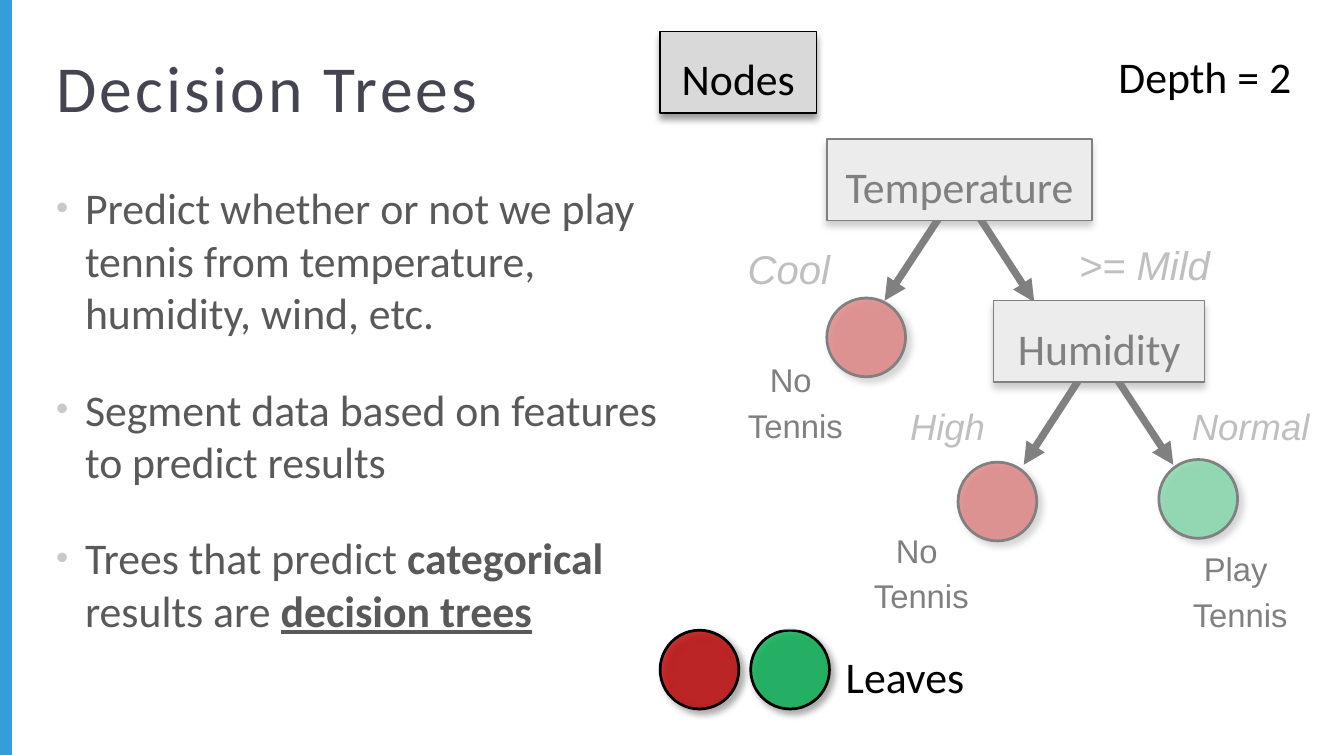
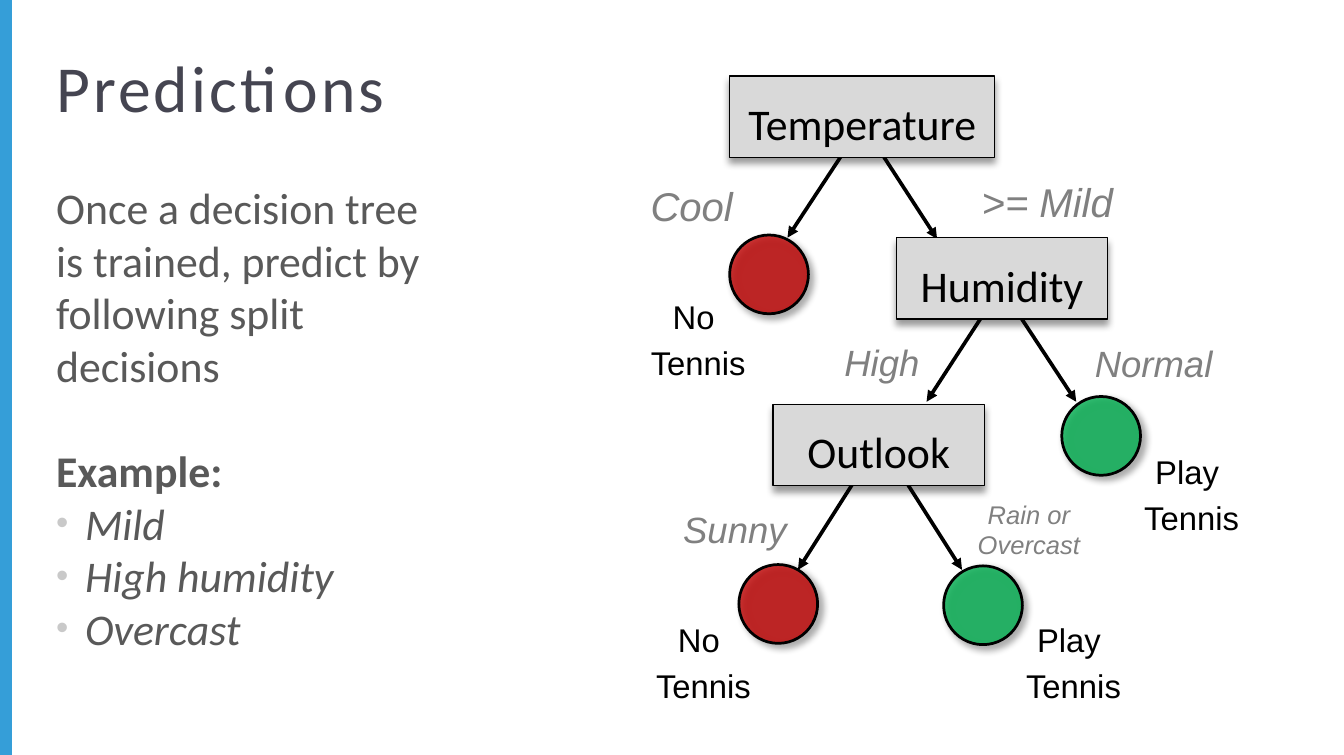
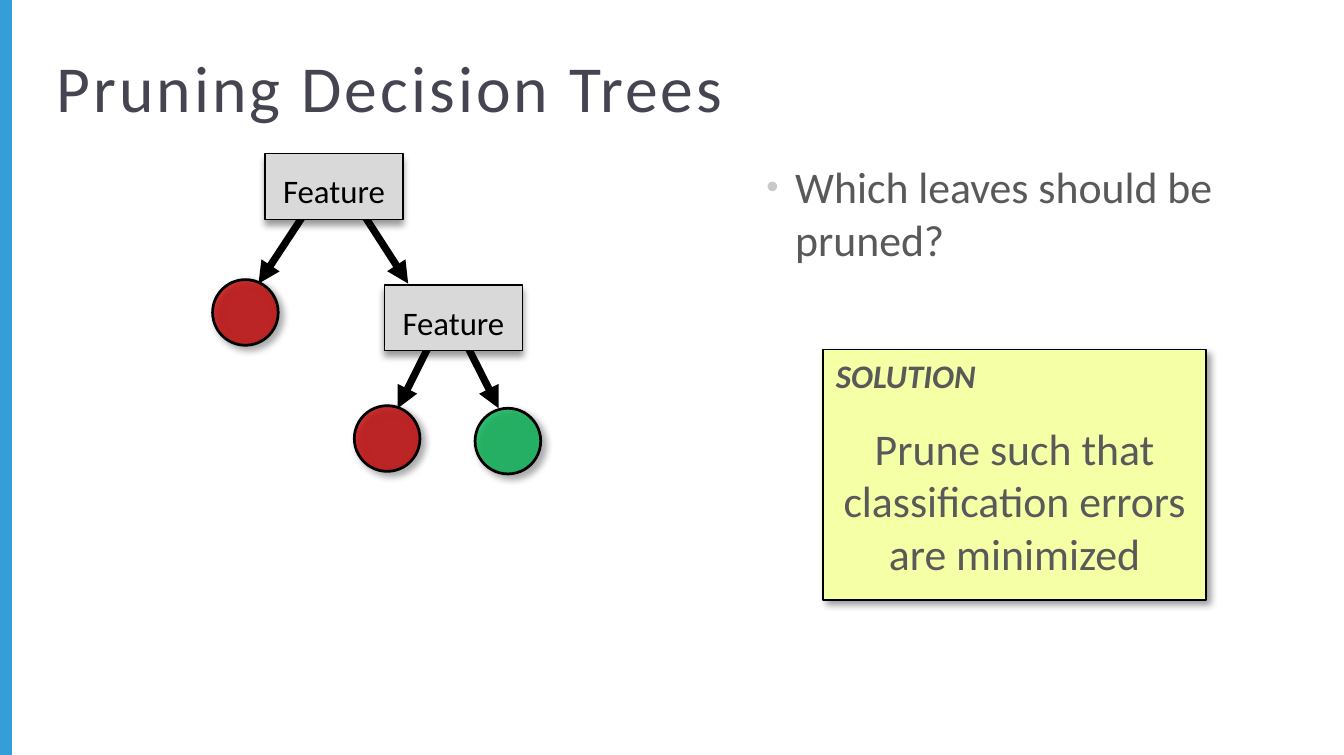
"""Build three slides on decision trees, their predictions and their pruning."""

from dataclasses import dataclass
from typing import Optional, Sequence, Union

from lxml import etree
from pptx import Presentation
from pptx.dml.color import RGBColor
from pptx.enum.shapes import MSO_CONNECTOR, MSO_SHAPE
from pptx.enum.text import MSO_ANCHOR, PP_ALIGN
from pptx.oxml.ns import qn
from pptx.shapes.autoshape import Shape
from pptx.slide import Slide
from pptx.text.text import TextFrame
from pptx.util import Emu, Pt

EMU_PER_PX = 9144
SLIDE_WIDTH, SLIDE_HEIGHT = 1024, 575
BLANK_LAYOUT = 6

RECTANGLE, OVAL = MSO_SHAPE.RECTANGLE, MSO_SHAPE.OVAL
STRAIGHT = MSO_CONNECTOR.STRAIGHT
LEFT, CENTER = PP_ALIGN.LEFT, PP_ALIGN.CENTER
TOP, MIDDLE = MSO_ANCHOR.TOP, MSO_ANCHOR.MIDDLE

BLACK = RGBColor(0x00, 0x00, 0x00)
WHITE = RGBColor(0xFF, 0xFF, 0xFF)
BAND_BLUE = RGBColor(0x35, 0x9E, 0xD8)
TITLE_INK = RGBColor(0x45, 0x45, 0x51)
BODY_INK = RGBColor(0x59, 0x59, 0x59)
BULLET_GRAY = RGBColor(0xC9, 0xC9, 0xC9)
BRANCH_GRAY = RGBColor(0x80, 0x80, 0x80)
NODE_GRAY = RGBColor(0xD9, 0xD9, 0xD9)
LEAF_RED = RGBColor(0xC0, 0x00, 0x00)
LEAF_GREEN = RGBColor(0x00, 0xB0, 0x50)
NOTE_YELLOW = RGBColor(0xF5, 0xFF, 0xA6)

BODY_FONT, LABEL_FONT = "Calibri", "Arial"
BODY_SIZE = 24
BULLET_INDENT = 22
LABEL_WIDTH = 124
DOWN, DIAGONAL = 90, 45


@dataclass(frozen=True)
class Run:
    text: str
    bold: bool = False
    underline: bool = False


@dataclass(frozen=True)
class Edge:
    x1: int
    y1: int
    x2: int
    y2: int


@dataclass(frozen=True)
class Node:
    x: int
    y: int
    width: int
    text: str


@dataclass(frozen=True)
class Leaf:
    x: int
    y: int
    color: RGBColor


@dataclass(frozen=True)
class Branch:
    x: int
    y: int
    text: str
    size: int = 20
    height: int = 37


@dataclass(frozen=True)
class Outcome:
    x: int
    y: int
    verb: str


@dataclass(frozen=True)
class Tree:
    edges: Sequence[Edge] = ()
    nodes: Sequence[Node] = ()
    leaves: Sequence[Leaf] = ()
    branches: Sequence[Branch] = ()
    outcomes: Sequence[Outcome] = ()


@dataclass(frozen=True)
class TreeStyle:
    edge_width: int = 4
    node_height: int = 62
    node_size: int = 24
    node_insets: tuple[int, int] = (5, 0)
    leaf_size: int = 60


BOLD_EDGES = TreeStyle()
THIN_EDGES = TreeStyle(edge_width=2)
SMALL_TREE = TreeStyle(node_height=50, node_size=18, node_insets=(0, 8), leaf_size=50)

WEATHER_TREE = Tree(
    edges=(
        Edge(94, 47, 44, 123),
        Edge(108, 47, 158, 124),
        Edge(200, 171, 150, 248),
        Edge(214, 172, 264, 248),
    ),
    nodes=(Node(0, 0, 202, "Temperature"), Node(127, 123, 161, "Humidity")),
    leaves=(Leaf(0, 121, LEAF_RED), Leaf(253, 244, LEAF_GREEN)),
    branches=(
        Branch(-91, 75, "Cool", 22, 40),
        Branch(180, 72, ">= Mild", 22, 40),
        Branch(261, 197, "Normal"),
    ),
    outcomes=(Outcome(-86, 163, "No "),),
)
HIGH_HUMIDITY = Tree(
    leaves=(Leaf(730, 352, LEAF_RED),),
    branches=(Branch(660, 303, "High"),),
    outcomes=(Outcome(640, 399, "No "), Outcome(883, 413, "Play ")),
)
LEGEND = Tree(
    nodes=(Node(503, 24, 119, "Nodes"),),
    leaves=(Leaf(503, 480, LEAF_RED), Leaf(572, 480, LEAF_GREEN)),
)
OUTLOOK_SPLIT = Tree(
    edges=(Edge(657, 357, 608, 434), Edge(684, 357, 733, 434)),
    nodes=(Node(589, 308, 161, "Outlook"),),
    leaves=(Leaf(563, 430, LEAF_RED), Leaf(719, 431, LEAF_GREEN)),
    branches=(
        Branch(610, 254, "High"),
        Branch(498, 381, "Sunny"),
        Branch(722, 375, "Rain or Overcast", 14, 50),
    ),
    outcomes=(
        Outcome(846, 339, "Play "),
        Outcome(474, 467, "No "),
        Outcome(756, 467, "Play "),
    ),
)
FEATURE_TREE = Tree(
    edges=(
        Edge(247, 140, 197, 216),
        Edge(262, 140, 311, 216),
        Edge(343, 231, 303, 311),
        Edge(340, 232, 380, 311),
    ),
    nodes=(Node(202, 117, 105, "Feature"), Node(293, 217, 105, "Feature")),
    leaves=(
        Leaf(162, 213, LEAF_RED),
        Leaf(270, 309, LEAF_RED),
        Leaf(362, 311, LEAF_GREEN),
    ),
)


def px(length: int) -> Emu:
    return Emu(length * EMU_PER_PX)


def add_child(parent: etree._Element, tag: str, **attributes: object) -> etree._Element:
    values = {name: str(value) for name, value in attributes.items()}
    return etree.SubElement(parent, qn(tag), values)


def add_box(
    slide: Slide,
    kind: MSO_SHAPE,
    x: int,
    y: int,
    width: int,
    height: int,
    fill: RGBColor,
    *,
    line_width: float = 0,
    opacity: int = 100,
    shadow_angle: Optional[int] = None,
) -> Shape:
    shape = slide.shapes.add_shape(kind, px(x), px(y), px(width), px(height))
    shape.shadow.inherit = False
    shape.fill.solid()
    shape.fill.fore_color.rgb = fill
    properties = shape.element.spPr
    if opacity < 100:
        color = properties.find(qn("a:solidFill")).find(qn("a:srgbClr"))
        add_child(color, "a:alpha", val=opacity * 1000)
    if line_width:
        shape.line.color.rgb = BLACK
        shape.line.width = Pt(line_width)
    else:
        shape.line.fill.background()
    if shadow_angle is not None:
        shadow = add_child(
            properties.find(qn("a:effectLst")),
            "a:outerShdw",
            blurRad=Pt(4),
            dist=Pt(3),
            dir=shadow_angle * 60000,
            rotWithShape=0,
        )
        color = add_child(shadow, "a:srgbClr", val=BLACK)
        add_child(color, "a:alpha", val=40000)
    return shape


def set_frame(
    shape: Shape, anchor: MSO_ANCHOR, side: int, top: int, bottom: int
) -> TextFrame:
    frame = shape.text_frame
    frame.word_wrap = True
    frame.vertical_anchor = anchor
    frame.margin_left = frame.margin_right = px(side)
    frame.margin_top, frame.margin_bottom = px(top), px(bottom)
    return frame


def add_text_box(
    slide: Slide,
    x: int,
    y: int,
    width: int,
    height: int,
    *,
    anchor: MSO_ANCHOR = TOP,
    side: int = 10,
    top: int = 5,
    bottom: int = 5,
) -> TextFrame:
    shape = slide.shapes.add_textbox(px(x), px(y), px(width), px(height))
    return set_frame(shape, anchor, side, top, bottom)


def add_paragraph(
    frame: TextFrame,
    text: Union[str, Sequence[Run]],
    *,
    size: int = BODY_SIZE,
    font: str = BODY_FONT,
    color: RGBColor = BODY_INK,
    bold: bool = False,
    italic: bool = False,
    align: PP_ALIGN = LEFT,
    before: float = 0,
    line_spacing: Optional[int] = None,
    tracking: int = 0,
    bullet: bool = False,
) -> None:
    first = frame.paragraphs[0]
    paragraph = frame.add_paragraph() if first.runs else first
    paragraph.alignment = align
    if before:
        paragraph.space_before = Pt(before)
    if line_spacing:
        paragraph.line_spacing = Pt(line_spacing)
    if bullet:
        properties = paragraph._p.get_or_add_pPr()
        properties.set("marL", str(px(BULLET_INDENT)))
        properties.set("indent", str(-px(BULLET_INDENT)))
        add_child(add_child(properties, "a:buClr"), "a:srgbClr", val=BULLET_GRAY)
        add_child(properties, "a:buSzPct", val=80000)
        add_child(properties, "a:buFont", typeface=LABEL_FONT)
        add_child(properties, "a:buChar", char="•")
    for part in (Run(text, bold),) if isinstance(text, str) else text:
        run = paragraph.add_run()
        run.text = part.text
        run.font.name, run.font.size = font, Pt(size)
        run.font.color.rgb = color
        run.font.bold, run.font.italic = part.bold, italic
        run.font.underline = part.underline
        if tracking:
            run.font._element.set("spc", str(tracking))


def add_node_text(frame: TextFrame, text: str, size: int = BODY_SIZE) -> None:
    add_paragraph(frame, text, size=size, color=BLACK, align=CENTER, line_spacing=32)


def add_caption(slide: Slide, x: int, y: int, width: int, text: str) -> None:
    top, bottom = BOLD_EDGES.node_insets
    frame = add_text_box(
        slide, x, y, width, BOLD_EDGES.node_height,
        anchor=MIDDLE, side=0, top=top, bottom=bottom,
    )
    add_node_text(frame, text)


def add_edge(slide: Slide, edge: Edge, left: int, top: int, width: int) -> None:
    connector = slide.shapes.add_connector(
        STRAIGHT,
        px(left + edge.x1), px(top + edge.y1), px(left + edge.x2), px(top + edge.y2),
    )
    connector.line.color.rgb = BLACK
    connector.line.width = Pt(width)
    add_child(connector.line._get_or_add_ln(), "a:tailEnd", type="triangle")
    add_child(connector._element.spPr, "a:effectLst")


def draw_tree(
    slide: Slide, tree: Tree, style: TreeStyle, left: int = 0, top: int = 0
) -> None:
    for edge in tree.edges:
        add_edge(slide, edge, left, top, style.edge_width)
    for node in tree.nodes:
        shape = add_box(
            slide, RECTANGLE, left + node.x, top + node.y, node.width,
            style.node_height, NODE_GRAY, line_width=0.75, shadow_angle=DOWN,
        )
        add_node_text(
            set_frame(shape, MIDDLE, 0, *style.node_insets), node.text, style.node_size
        )
    for leaf in tree.leaves:
        add_box(
            slide, OVAL, left + leaf.x, top + leaf.y, style.leaf_size, style.leaf_size,
            leaf.color, line_width=1.5, opacity=79, shadow_angle=DIAGONAL,
        )
    for branch in tree.branches:
        frame = add_text_box(
            slide, left + branch.x, top + branch.y, LABEL_WIDTH, branch.height,
            side=0, bottom=0,
        )
        add_paragraph(
            frame, branch.text, size=branch.size, font=LABEL_FONT,
            color=BRANCH_GRAY, italic=True, align=CENTER,
        )
    for outcome in tree.outcomes:
        frame = add_text_box(
            slide, left + outcome.x, top + outcome.y, LABEL_WIDTH, 67, side=0, bottom=0
        )
        for text, before in ((outcome.verb, 0), ("Tennis", 3.5)):
            add_paragraph(
                frame, text, size=18, font=LABEL_FONT, color=BLACK,
                align=CENTER, before=before,
            )


def add_titled_slide(presentation: Presentation, title: str) -> Slide:
    slide = presentation.slides.add_slide(presentation.slide_layouts[BLANK_LAYOUT])
    add_box(slide, RECTANGLE, 0, 0, 9, SLIDE_HEIGHT, BAND_BLUE)
    frame = add_text_box(slide, 33, 28, 811, 83, anchor=MIDDLE, bottom=12)
    add_paragraph(frame, title, size=36, color=TITLE_INK, tracking=170)
    return slide


def build_decision_trees(presentation: Presentation) -> None:
    slide = add_titled_slide(presentation, "Decision Trees")
    points = (
        "Predict whether or not we play tennis from temperature, humidity, wind, etc.",
        "Segment data based on features to predict results",
        (
            Run("Trees that predict "),
            Run("categorical ", bold=True),
            Run("results are "),
            Run("decision trees", bold=True, underline=True),
        ),
    )
    body = add_text_box(slide, 33, 133, 503, 397)
    for index, point in enumerate(points):
        add_paragraph(body, point, bullet=True, before=24 if index else 0)
    draw_tree(slide, WEATHER_TREE, BOLD_EDGES, 630, 106)
    draw_tree(slide, HIGH_HUMIDITY, BOLD_EDGES)
    draw_tree(slide, LEGEND, BOLD_EDGES)
    add_caption(slide, 630, 479, 119, "Leaves")
    add_box(slide, RECTANGLE, 544, 96, 470, 384, WHITE, opacity=50)
    add_caption(slide, 844, 22, 148, "Depth = 2")


def build_predictions(presentation: Presentation) -> None:
    slide = add_titled_slide(presentation, "Predictions")
    body = add_text_box(slide, 33, 133, 313, 397)
    add_paragraph(
        body, "Once a decision tree is trained, predict by following split decisions"
    )
    add_paragraph(body, "Example:", bold=True, before=29)
    for condition in ("Mild", "High humidity", "Overcast"):
        add_paragraph(body, condition, italic=True, bullet=True)
    draw_tree(slide, WEATHER_TREE, THIN_EDGES, 556, 58)
    draw_tree(slide, OUTLOOK_SPLIT, THIN_EDGES)


def build_pruning(presentation: Presentation) -> None:
    slide = add_titled_slide(presentation, "Pruning Decision Trees")
    draw_tree(slide, FEATURE_TREE, SMALL_TREE)
    body = add_text_box(slide, 574, 117, 397, 191)
    add_paragraph(body, "Which leaves should be pruned?", bullet=True)
    note = add_box(
        slide, RECTANGLE, 627, 266, 292, 191, NOTE_YELLOW,
        line_width=0.75, shadow_angle=DIAGONAL,
    )
    frame = set_frame(note, TOP, 10, 5, 5)
    add_paragraph(frame, "SOLUTION", size=18, bold=True, italic=True)
    add_paragraph(
        frame, "Prune such that classification errors are minimized",
        align=CENTER, before=14.5,
    )


def main() -> None:
    presentation = Presentation()
    presentation.slide_width = px(SLIDE_WIDTH)
    presentation.slide_height = px(SLIDE_HEIGHT)
    build_decision_trees(presentation)
    build_predictions(presentation)
    build_pruning(presentation)
    presentation.save("out.pptx")


if __name__ == "__main__":
    main()
